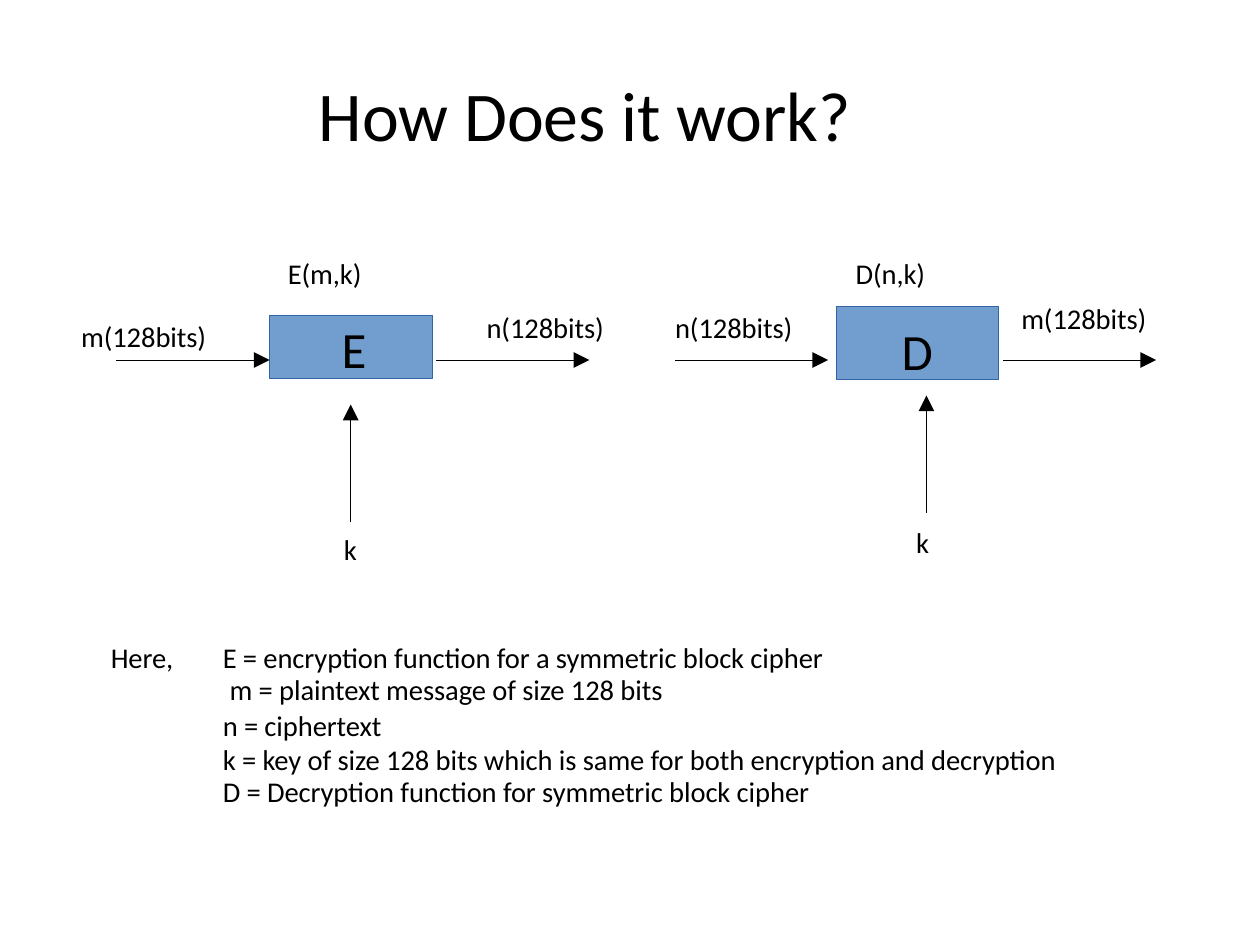
import lxml.etree
import pptx
import pptx.dml.color
import pptx.enum.shapes
import pptx.enum.text
import pptx.oxml.ns
import pptx.util

SCALE = 9144


def px(length):
    return pptx.util.Emu(length * SCALE)


def colour(value):
    return pptx.dml.color.RGBColor.from_string(value)


class CipherSlide:
    """Draws styled elements on one slide, with lengths of 100 px to the inch."""

    font = "Calibri"
    ink = "000000"
    box_fill = "719ECE"
    box_line = "3364A3"
    line_width = pptx.util.Pt(0.25)

    def __init__(self, presentation):
        self.slide = presentation.slides.add_slide(presentation.slide_layouts[1])

    def place(self, shape, left, top, width, height):
        shape.left, shape.top = px(left), px(top)
        shape.width, shape.height = px(width), px(height)

    def prepare(self, shape, inset):
        frame = shape.text_frame
        frame.word_wrap = True
        frame.auto_size = pptx.enum.text.MSO_AUTO_SIZE.NONE
        frame.vertical_anchor = pptx.enum.text.MSO_ANCHOR.TOP
        frame.margin_left = frame.margin_right = frame.margin_bottom = 0
        frame.margin_top = px(inset)
        return frame

    def add_text(self, paragraph, text, size, align=pptx.enum.text.PP_ALIGN.LEFT):
        paragraph.alignment = align
        run = paragraph.add_run()
        run.text = text
        run.font.name = self.font
        run.font.size = pptx.util.Pt(size)
        run.font.color.rgb = colour(self.ink)
        run._r.get_or_add_rPr().set("spc", "-5")

    def title(self, text, left, top, width, height):
        shape = self.slide.shapes.title
        self.place(shape, left, top, width, height)
        self.add_text(self.prepare(shape, 2).paragraphs[0], text, 44)

    def label(self, text, left, top, width):
        shape = self.slide.shapes.add_textbox(px(left), px(top), px(width), px(32))
        self.add_text(self.prepare(shape, 2).paragraphs[0], text, 18)

    def box(self, text, left, top, width, height, inset):
        shape = self.slide.shapes.add_shape(
            pptx.enum.shapes.MSO_SHAPE.RECTANGLE,
            px(left), px(top), px(width), px(height))
        shape.shadow.inherit = False
        shape.fill.solid()
        shape.fill.fore_color.rgb = colour(self.box_fill)
        shape.line.color.rgb = colour(self.box_line)
        shape.line.width = self.line_width
        frame = self.prepare(shape, inset)
        self.add_text(frame.paragraphs[0], text, 32, pptx.enum.text.PP_ALIGN.CENTER)
        return frame

    def arrow(self, start_x, start_y, end_x, end_y):
        connector = self.slide.shapes.add_connector(
            pptx.enum.shapes.MSO_CONNECTOR.STRAIGHT,
            px(start_x), px(start_y), px(end_x), px(end_y))
        connector.line.color.rgb = colour(self.ink)
        connector.line.width = self.line_width
        properties = connector._element.spPr
        lxml.etree.SubElement(
            properties.find(pptx.oxml.ns.qn("a:ln")), pptx.oxml.ns.qn("a:tailEnd"),
            type="triangle", w="lg", len="lg")
        lxml.etree.SubElement(properties, pptx.oxml.ns.qn("a:effectLst"))

    def legend(self, rows, left, top, width, height):
        shape = self.slide.placeholders[1]
        self.place(shape, left, top, width, height)
        frame = self.prepare(shape, 3)
        for index, (text, margin, hanging, spacing, before) in enumerate(rows):
            paragraph = frame.add_paragraph() if index else frame.paragraphs[0]
            self.add_text(paragraph, text, 18)
            paragraph.line_spacing = spacing
            paragraph.space_before = pptx.util.Pt(before)
            properties = paragraph._p.get_or_add_pPr()
            properties.set("marL", str(px(margin)))
            properties.set("indent", str(px(-hanging)))
            lxml.etree.SubElement(properties, pptx.oxml.ns.qn("a:buNone"))


def main():
    presentation = pptx.Presentation()
    presentation.slide_width, presentation.slide_height = px(1103), px(826)
    cipher = CipherSlide(presentation)
    cipher.title("How Does it work?", 279, 61, 543, 75)

    cipher.box("D", 732, 268, 142, 64, 12)
    encryption = cipher.box("E", 236, 276, 142, 55, 2)
    encryption.margin_left = px(6)

    for left in (102, 382, 591, 878):
        cipher.arrow(left, 315, left + 134, 315)
    for middle, tip in ((307, 354), (811, 346)):
        cipher.arrow(middle, tip + 103, middle, tip)

    for text, left, top, width in (
        ("m(128bits)", 71, 277, 121),
        ("m(128bits)", 894, 261, 121),
        ("k", 301, 463, 15),
        ("k", 802, 457, 15),
        ("E(m,k)", 252, 222, 76),
        ("D(n,k)", 749, 222, 71),
        ("n(128bits)", 426, 269, 114),
        ("n(128bits)", 591, 269, 114),
    ):
        cipher.label(text, left, top, width)

    exact = pptx.util.Pt(20.1)
    cipher.legend((
        ("Here,\tE = encryption function for a symmetric block cipher", 100, 98, 0.93, 2.5),
        ("m = plaintext message of size 128 bits", 106, 0, 0.93, 0),
        ("n = ciphertext", 100, 0, 0.93, 2.5),
        ("k = key of size 128 bits which is same for both encryption and decryption",
         100, 0, exact, 0.5),
        ("D = Decryption function for symmetric block cipher", 100, 0, exact, 0.5),
    ), 95, 560, 881, 149)
    presentation.save("out.pptx")


if __name__ == "__main__":
    main()
